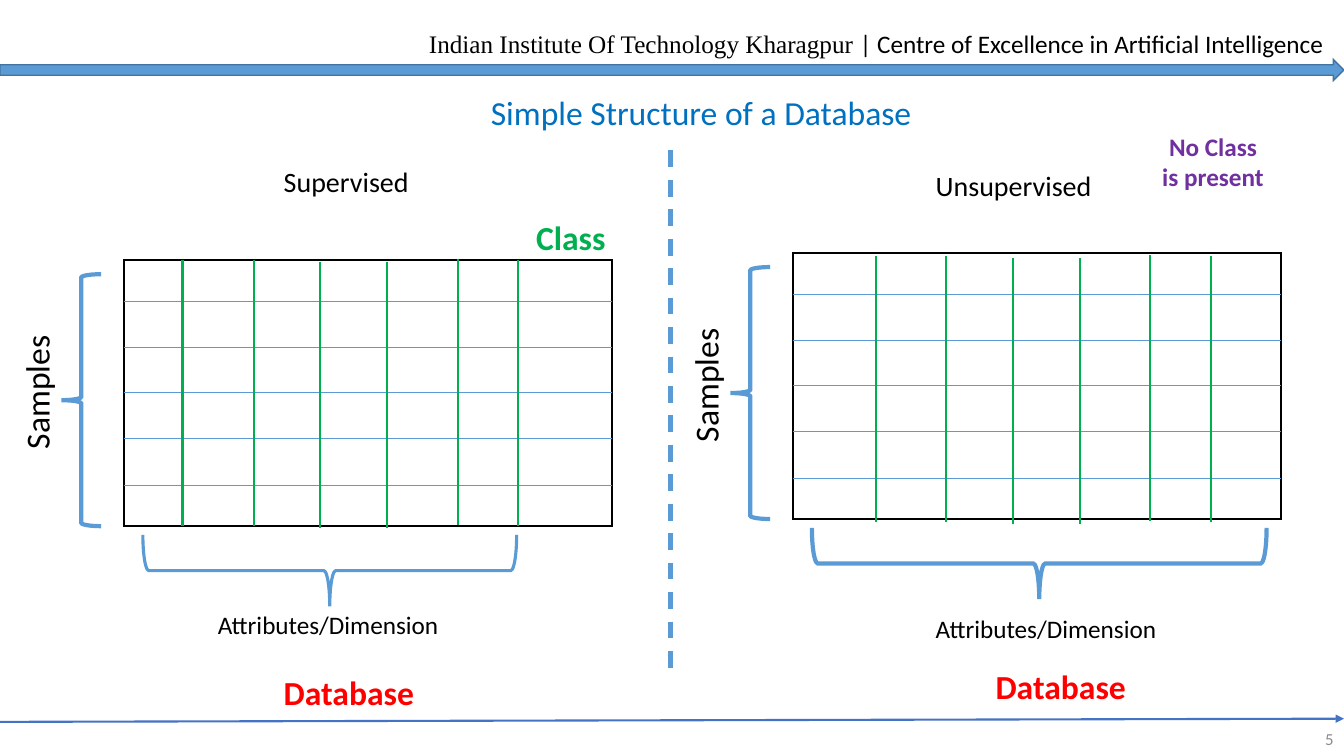
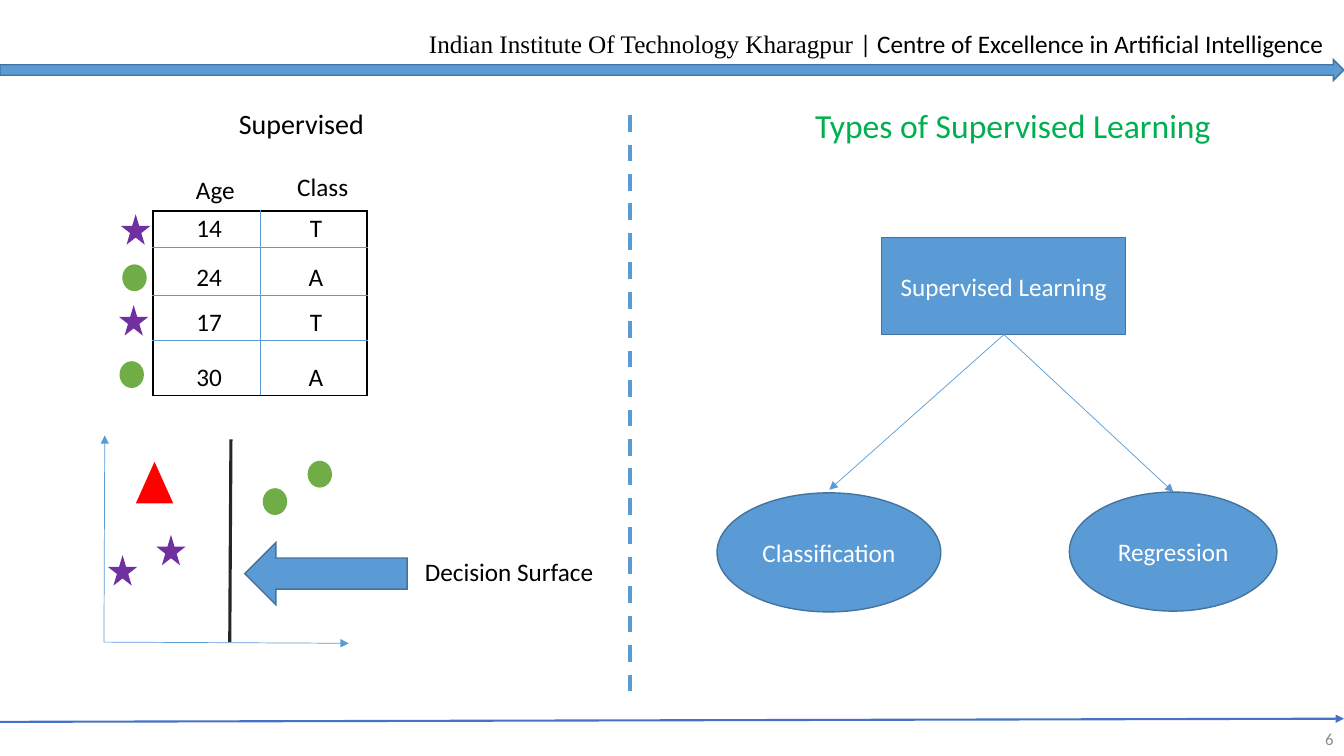
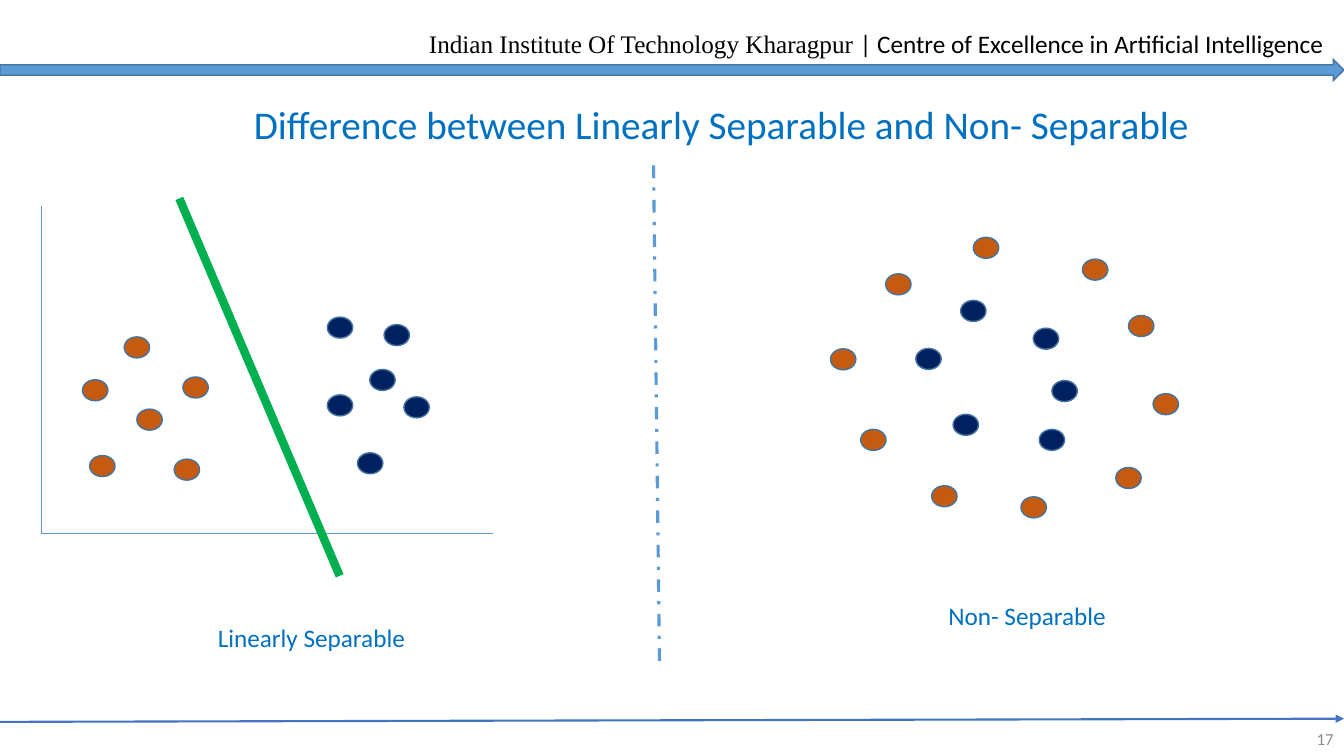
from lxml import etree
from pptx import Presentation
from pptx.dml.color import RGBColor
from pptx.enum import dml, shapes, text
from pptx.oxml import ns
from pptx.util import Cm, Pt

WIDE, HIGH = 33.87, 19.05
BLUE, EDGE, FOOT = "5B9BD5", "43739E", "4472C4"
TITLE, GREEN, LEAF = "0070C0", "00B050", "70AD47"
RED, PURPLE, RUST, NAVY = "FF0000", "7030A0", "C55A11", "002060"
BLACK, DARK, PALE, WHITE = "000000", "262626", "8C8C8C", "FFFFFF"
KIND = shapes.MSO_SHAPE
DASH = dml.MSO_LINE
ALIGN = text.PP_ALIGN
LEVELS = [1.04, 2.2, 3.33, 4.49, 5.69]
DROPS = [0, 0, 0.05, 0.05, -0.03, 0]


def rgb(code):
    return RGBColor.from_string(code)


def node(parent, tag, **attrs):
    return etree.SubElement(parent, ns.qn(tag), **attrs)


def write(para, words, size, color, bold=False, font="Calibri"):
    run = para.add_run()
    run.text = words
    run.font.size = Pt(size)
    run.font.name = font
    run.font.bold = bold
    run.font.color.rgb = rgb(color)


def label(slide, x, y, w, words, size=18, color=BLACK, bold=False,
          align=ALIGN.LEFT, wrap=False, turn=0):
    box = slide.shapes.add_textbox(Cm(x), Cm(y), Cm(w), Cm(0.25 + size * 0.042))
    box.rotation = turn
    frame = box.text_frame
    frame.word_wrap = wrap
    frame.auto_size = text.MSO_AUTO_SIZE.SHAPE_TO_FIT_TEXT
    para = frame.paragraphs[0]
    para.alignment = align
    if words:
        write(para, words, size, color, bold)
    return para


def shape(slide, kind, x, y, w, h, fill=BLUE, edge=EDGE, width=1, words=""):
    item = slide.shapes.add_shape(kind, Cm(x), Cm(y), Cm(w), Cm(h))
    item.shadow.inherit = False
    if fill:
        item.fill.solid()
        item.fill.fore_color.rgb = rgb(fill)
    else:
        item.fill.background()
    item.line.color.rgb = rgb(edge)
    item.line.width = Pt(width)
    node(item.line._get_or_add_ln(), "a:miter", lim="800000")
    if words:
        frame = item.text_frame
        frame.vertical_anchor = text.MSO_ANCHOR.MIDDLE
        para = frame.paragraphs[0]
        para.alignment = ALIGN.CENTER
        write(para, words, 18, WHITE)
    return item


def marks(slide, kind, w, h, color, spots, edge=None):
    for x, y in spots:
        shape(slide, kind, x, y, w, h, color, edge or color)


def line(slide, x1, y1, x2, y2, color=BLUE, width=0.5, dash=None, arrow=False):
    item = slide.shapes.add_connector(
        shapes.MSO_CONNECTOR.STRAIGHT, Cm(x1), Cm(y1), Cm(x2), Cm(y2))
    item.line.color.rgb = rgb(color)
    item.line.width = Pt(width)
    if dash:
        item.line.dash_style = dash
    if arrow:
        node(item.line._get_or_add_ln(), "a:tailEnd", type="triangle")
    node(item._element.spPr, "a:effectLst")


def border(cell, side, color, width):
    edge = node(cell._tc.get_or_add_tcPr(), "a:ln" + side, w=str(Pt(width)))
    node(node(edge, "a:solidFill"), "a:srgbClr", val=color)


def grid(slide, x, y, cols, rows, data):
    frame = slide.shapes.add_table(
        len(rows), len(cols), Cm(x), Cm(y), Cm(sum(cols)), Cm(sum(rows)))
    table = frame.table
    table.first_row = table.horz_banding = False
    outer, inner = (BLACK, 1.5), (BLUE, 0.5)
    for c, wide in enumerate(cols):
        table.columns[c].width = Cm(wide)
    for r, high in enumerate(rows):
        table.rows[r].height = Cm(high)
        for c, words in enumerate(data[r]):
            cell = table.cell(r, c)
            border(cell, "L", *(inner if c else outer))
            border(cell, "R", *(inner if c < len(cols) - 1 else outer))
            border(cell, "T", *(inner if r else outer))
            border(cell, "B", *(inner if r < len(rows) - 1 else outer))
            cell.fill.background()
            cell.margin_top, cell.margin_bottom = 0, Cm(0.06)
            cell.margin_left = Cm(0.39)
            cell.vertical_anchor = text.MSO_ANCHOR.BOTTOM
            para = cell.text_frame.paragraphs[0]
            para.alignment = ALIGN.CENTER
            write(para, words, 18, BLACK)


def panel(slide, x, y, posts, lift, span, width):
    wide, high = 12.31, 6.71
    shape(slide, KIND.RECTANGLE, x, y, wide, high, None, BLACK, 1.5)
    for level in LEVELS:
        line(slide, x, y + level, x + wide, y + level)
    for post, drop in zip(posts, DROPS):
        top = y + lift + drop
        line(slide, post, top, post, top + high, GREEN, 1.5)
    shape(slide, KIND.LEFT_BRACE, x - 1.57, y + 0.36, 1, 6.35, None, BLUE, 3)
    label(slide, x - 3.91, y + 2.69, 3.4, "Samples", 24, turn=270)
    deep = 1.8
    shift = (span - deep) / 2
    brace = shape(slide, KIND.RIGHT_BRACE, x + 0.48 + shift, y + 6.93 - shift,
                  deep, span, None, BLUE, width)
    brace.rotation = 90


def start(deck, number):
    slide = deck.slides.add_slide(deck.slide_layouts[6])
    head = label(slide, 10.56, 0.58, 23.32, "")
    write(head, "Indian Institute Of Technology Kharagpur ", 18, BLACK,
          font="Times New Roman")
    write(head, "| Centre of Excellence in Artificial Intelligence", 18, BLACK)
    shape(slide, KIND.RIGHT_ARROW, 0, 1.5, WIDE, 0.53)
    line(slide, 0, 18.19, WIDE, 18.11, FOOT, 1.5, arrow=True)
    label(slide, 26.24, 18.24, 7.62, str(number), 12, PALE,
          align=ALIGN.RIGHT, wrap=True)
    return slide


def database(deck):
    slide = start(deck, 5)
    label(slide, 12.12, 2.18, 11.2, "Simple Structure of a Database", 24, TITLE)
    line(slide, 16.9, 3.79, 16.9, 17.03, BLUE, 3, DASH.DASH)
    panel(slide, 3.12, 6.55, [4.6, 6.4, 8.07, 9.75, 11.54, 13.06], 0, 9.42, 2.25)
    panel(slide, 19.98, 6.37, [22.07, 23.84, 25.53, 27.21, 28.99, 30.51],
          0.08, 11.46, 3)
    label(slide, 6.9, 4.01, 3.86, "Supervised", 20)
    label(slide, 23.33, 4.11, 4.47, "Unsupervised", 20)
    label(slide, 13.26, 5.33, 2.29, "Class", 24, GREEN, True)
    label(slide, 29.01, 3.18, 3.12, "No Class is present", 18, PURPLE, True,
          ALIGN.CENTER, True)
    for x, y in [(5.24, 15.24), (23.33, 15.34)]:
        label(slide, x, y, 6.15, "Attributes/Dimension")
    for x, y in [(6.9, 16.81), (24.84, 16.66)]:
        label(slide, x, y, 3.84, "Database", 24, RED, True)


def learning(deck):
    slide = start(deck, 6)
    label(slide, 5.77, 2.57, 3.86, "Supervised", 20)
    line(slide, 15.88, 2.9, 15.88, 17.55, BLUE, 3, DASH.DASH)
    label(slide, 4.69, 4.27, 1.5, "Age")
    label(slide, 7.24, 4.19, 1.8, "Class")
    grid(slide, 3.86, 5.31, [2.69, 2.69], [0.91, 1.22, 1.14, 1.39],
         [("14", "T"), ("24", "A"), ("17", "T"), ("30", "A")])
    line(slide, 2.62, 16.18, 8.79, 16.21, arrow=True)
    line(slide, 2.62, 16.18, 2.64, 10.97, arrow=True)
    marks(slide, KIND.STAR_5_POINT, 0.64, 0.66, PURPLE,
          [(3.1, 5.46), (3.05, 7.75), (2.77, 14.05), (3.99, 13.54)])
    marks(slide, KIND.FLOWCHART_CONNECTOR, 0.58, 0.64, LEAF,
          [(3.1, 6.68), (3.03, 9.12), (6.64, 12.32), (7.77, 11.63)])
    marks(slide, KIND.ISOSCELES_TRIANGLE, 0.89, 0.99, RED, [(3.45, 11.68)])
    line(slide, 5.82, 11.07, 5.79, 16.18, DARK, 2.25)
    shape(slide, KIND.LEFT_ARROW, 6.17, 13.67, 4.09, 1.57)
    label(slide, 10.46, 13.89, 4.8, "Decision Surface")
    label(slide, 20.29, 2.51, 10.59, "Types of Supervised Learning", 24, GREEN)
    shape(slide, KIND.RECTANGLE, 22.22, 5.99, 6.15, 2.44, words="Supervised Learning")
    for x, y in [(20.9, 12.34), (29.57, 12.4)]:
        line(slide, 25.3, 8.43, x, y, arrow=True)
    shape(slide, KIND.OVAL, 18.07, 12.42, 5.64, 3, words="Classification")
    shape(slide, KIND.OVAL, 26.95, 12.4, 5.23, 3, words="Regression")


def margin(deck):
    slide = start(deck, 17)
    label(slide, 6.15, 2.41, 24.79,
          "Difference between Linearly Separable and Non- Separable", 28, TITLE)
    line(slide, 1.04, 13.44, 12.42, 13.44)
    line(slide, 1.04, 5.18, 1.04, 13.44)
    left = {
        RUST: [(2.08, 9.57), (3.45, 10.31), (2.26, 11.48), (3.13, 8.49),
               (4.39, 11.57), (4.61, 9.5)],
        NAVY: [(8.25, 7.99), (9.68, 8.18), (10.18, 10), (8.25, 9.95),
               (9.32, 9.31), (9.01, 11.41)],
    }
    right = {
        RUST: [(20.93, 8.79), (22.32, 6.9), (24.53, 5.98), (27.28, 6.53),
               (21.69, 10.82), (28.44, 7.95), (29.06, 9.92), (23.48, 12.24),
               (25.73, 12.52), (28.12, 11.78)],
        NAVY: [(24.21, 7.57), (26.19, 10.82), (23.08, 8.78), (24.02, 10.44),
               (26.04, 8.27), (26.51, 9.59)],
    }
    for side in (left, right):
        for color, spots in side.items():
            marks(slide, KIND.OVAL, 0.64, 0.53, color, spots, EDGE)
    line(slide, 4.52, 5, 8.56, 14.51, GREEN, 6)
    line(slide, 16.47, 4.17, 16.62, 16.76, BLUE, 2.25, DASH.DASH_DOT)
    label(slide, 5.24, 15.56, 5.26, "Linearly Separable", 18, TITLE)
    label(slide, 23.65, 15.01, 4.48, "Non- Separable", 18, TITLE)


def main():
    deck = Presentation()
    deck.slide_width, deck.slide_height = Cm(WIDE), Cm(HIGH)
    database(deck)
    learning(deck)
    margin(deck)
    deck.save("out.pptx")


if __name__ == "__main__":
    main()
